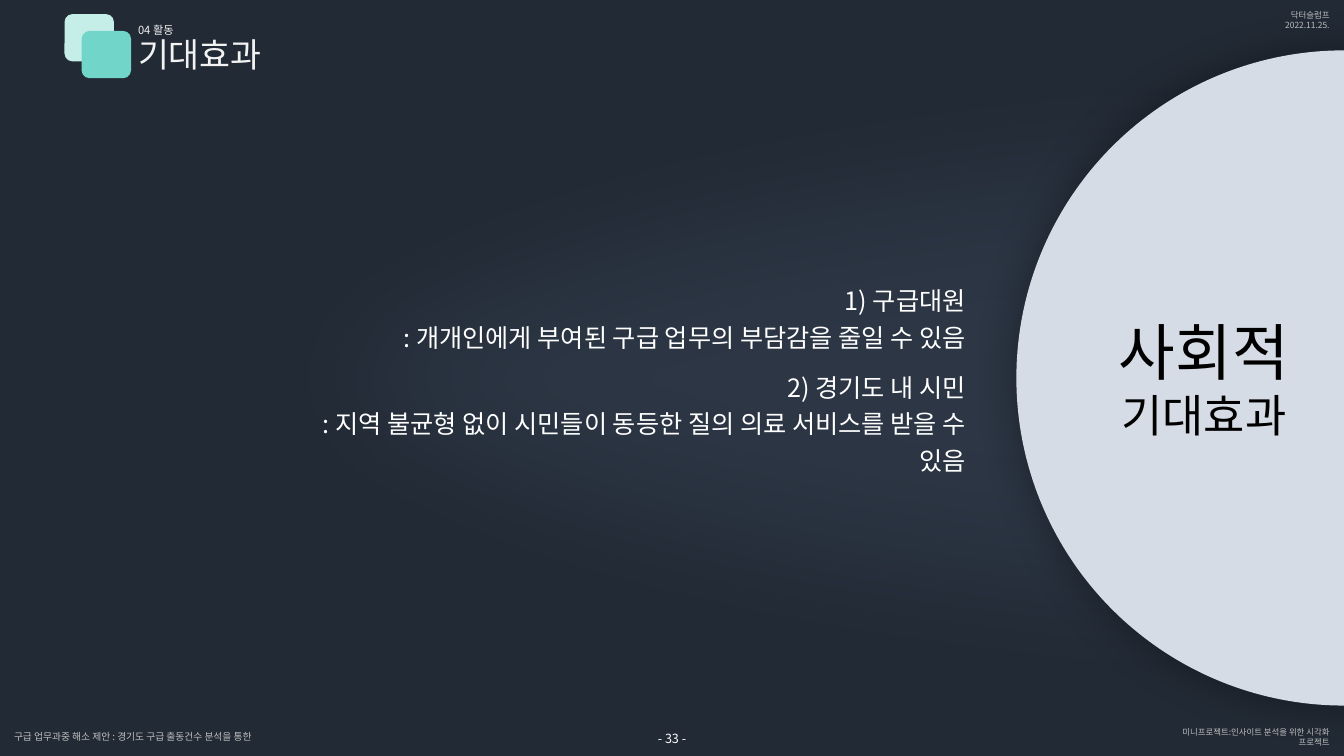
"""Build the slide on the expected social effects."""
import math
from dataclasses import dataclass, field

from lxml import etree
from pptx import Presentation
from pptx.dml.color import RGBColor
from pptx.enum.shapes import MSO_SHAPE
from pptx.enum.text import MSO_ANCHOR, MSO_AUTO_SIZE, PP_ALIGN
from pptx.oxml.ns import qn
from pptx.util import Pt

LEFT, CENTER, RIGHT = PP_ALIGN.LEFT, PP_ALIGN.CENTER, PP_ALIGN.RIGHT
MIDDLE, NO_AUTOFIT = MSO_ANCHOR.MIDDLE, MSO_AUTO_SIZE.NONE
ROUNDED, OVAL = MSO_SHAPE.ROUNDED_RECTANGLE, MSO_SHAPE.OVAL

FONT = "Noto Sans CJK KR"
COLORS = {
    "background": "222A35",
    "glow": "2C3644",
    "mint_light": "C6EEE9",
    "mint": "71D5C9",
    "disc": "D6DCE5",
    "heading": "F2F2F2",
    "footer": "BFBFBF",
    "white": "FFFFFF",
    "black": "000000",
}
SLIDE_WIDTH, SLIDE_HEIGHT = 960, 540
GLOW_CENTER_Y, GLOW_RADIUS_X, GLOW_RADIUS_Y = 270, 861.5, 248
GLOW_STEPS = 90
FRAME_FORMAT = {
    "word_wrap": True,
    "auto_size": NO_AUTOFIT,
    "vertical_anchor": MIDDLE,
    "margin_left": 0,
    "margin_top": 0,
    "margin_right": 0,
    "margin_bottom": 0,
}


@dataclass(frozen=True)
class Line:
    text: str
    size: float
    space_before: float = 0


@dataclass(frozen=True)
class TextBlock:
    box: tuple[float, float, float, float]
    lines: list[Line]
    color: str
    format: dict = field(default_factory=dict)


@dataclass(frozen=True)
class Figure:
    kind: MSO_SHAPE
    box: tuple[float, float, float, float]
    color: str


TITLE = TextBlock((98.6, 24.5, 265, 28.8), [Line("기대효과", 24)], "heading")
SECTION = TextBlock((98.6, 16.6, 265, 9.4), [Line("04 활동", 8)], "heading")
EFFECTS = TextBlock(
    (196.6, 213.1, 493.2, 113),
    [
        Line("1) 구급대원", 18),
        Line(": 개개인에게 부여된 구급 업무의 부담감을 줄일 수 있음", 18),
        Line("2) 경기도 내 시민", 18, 10),
        Line(": 지역 불균형 없이 시민들이 동등한 질의 의료 서비스를 받을 수 있음", 18),
    ],
    "white",
    {"alignment": RIGHT, "line_spacing": 1.2},
)
DISC_LABEL = TextBlock(
    (758, 220.3, 204, 99.4),
    [Line("사회적", 44), Line("기대효과", 32)],
    "black",
    {"alignment": CENTER},
)
TEAM = TextBlock(
    (824.4, 7.2, 125.3, 14.4),
    [Line("닥터슬럼프", 6), Line("2022.11.25.", 6)],
    "footer",
    {"alignment": RIGHT},
)
PROJECT = TextBlock(
    (824.4, 519.5, 125.3, 14.4),
    [Line("미니프로젝트:인사이트 분석을 위한 시각화 프로젝트", 6)],
    "footer",
    {"alignment": RIGHT},
)
PROPOSAL = TextBlock(
    (10, 522, 188.6, 8.6),
    [Line("구급 업무과중 해소 제안 : 경기도 구급 출동건수 분석을 통한", 7)],
    "footer",
)
PAGE_NUMBER = TextBlock(
    (467, 522, 26, 10.8), [Line("- 33 -", 9)], "white", {"alignment": CENTER}
)
LOGO_TILES = [
    Figure(ROUNDED, (46.1, 10.1, 35.3, 33.8), "mint_light"),
    Figure(ROUNDED, (58.3, 22.1, 35.3, 33.8), "mint"),
]
DISC = Figure(OVAL, (726, 36, 468, 468), "disc")


def rgb(name: str) -> RGBColor:
    """Return the named colour."""
    return RGBColor.from_string(COLORS[name])


def apply_format(target, values: dict) -> None:
    """Set every attribute in values on target."""
    for name, value in values.items():
        setattr(target, name, value)


def write_text(shape, block: TextBlock) -> None:
    """Place a text shape and fill it with the lines of a block."""
    sides = ("left", "top", "width", "height")
    apply_format(shape, dict(zip(sides, map(Pt, block.box))))
    frame = shape.text_frame
    apply_format(frame, FRAME_FORMAT)
    for index, line in enumerate(block.lines):
        paragraph = frame.add_paragraph() if index else frame.paragraphs[0]
        spacing = {"alignment": LEFT, "space_before": Pt(line.space_before)}
        apply_format(paragraph, spacing | block.format)
        run = paragraph.add_run()
        run.text = line.text
        apply_format(run.font, {"name": FONT, "size": Pt(line.size), "bold": False})
        run.font.color.rgb = rgb(block.color)
        east_asian = etree.Element(qn("a:ea"), typeface=FONT)
        run.font._element.find(qn("a:latin")).addnext(east_asian)


def add_text(slide, block: TextBlock) -> None:
    """Add a text box for a block."""
    write_text(slide.shapes.add_textbox(*map(Pt, block.box)), block)


def paint(shape, color: str) -> None:
    """Give a shape a plain fill without line or shadow."""
    shape.shadow.inherit = False
    shape.fill.solid()
    shape.fill.fore_color.rgb = rgb(color)
    shape.line.fill.background()


def add_effect(shape, tag: str, **attributes: str):
    """Add an effect to a shape and return its element."""
    effects = shape._element.spPr.find(qn("a:effectLst"))
    return etree.SubElement(effects, qn(tag), attributes)


def add_figure(slide, figure: Figure):
    """Add a painted preset shape."""
    shape = slide.shapes.add_shape(figure.kind, *map(Pt, figure.box))
    paint(shape, figure.color)
    return shape


def add_glow(slide) -> None:
    """Add the soft half ellipse that opens toward the disc."""
    angles = [math.pi * (0.5 + step / GLOW_STEPS) for step in range(GLOW_STEPS + 1)]
    points = [
        (
            Pt(SLIDE_WIDTH + GLOW_RADIUS_X * math.cos(angle)),
            Pt(GLOW_CENTER_Y + GLOW_RADIUS_Y * math.sin(angle)),
        )
        for angle in angles
    ]
    builder = slide.shapes.build_freeform(*points[0])
    builder.add_line_segments(points[1:], close=True)
    glow = builder.convert_to_shape()
    paint(glow, "glow")
    add_effect(glow, "a:softEdge", rad=str(Pt(90)))


def add_disc(slide) -> None:
    """Add the disc with its blurred shadow."""
    disc = add_figure(slide, DISC)
    shadow = add_effect(disc, "a:outerShdw", blurRad=str(Pt(30)), dist="0", dir="0")
    shade = etree.SubElement(shadow, qn("a:srgbClr"), val=COLORS["black"])
    etree.SubElement(shade, qn("a:alpha"), val="37000")


def main() -> None:
    """Build and save the presentation."""
    deck = Presentation()
    apply_format(
        deck, {"slide_width": Pt(SLIDE_WIDTH), "slide_height": Pt(SLIDE_HEIGHT)}
    )
    slide = deck.slides.add_slide(deck.slide_layouts[5])
    slide.background.fill.solid()
    slide.background.fill.fore_color.rgb = rgb("background")
    add_glow(slide)
    for tile in LOGO_TILES:
        add_figure(slide, tile)
    add_disc(slide)
    write_text(slide.shapes.title, TITLE)
    for block in (SECTION, EFFECTS, DISC_LABEL, TEAM, PROJECT, PROPOSAL, PAGE_NUMBER):
        add_text(slide, block)
    deck.save("out.pptx")


if __name__ == "__main__":
    main()
